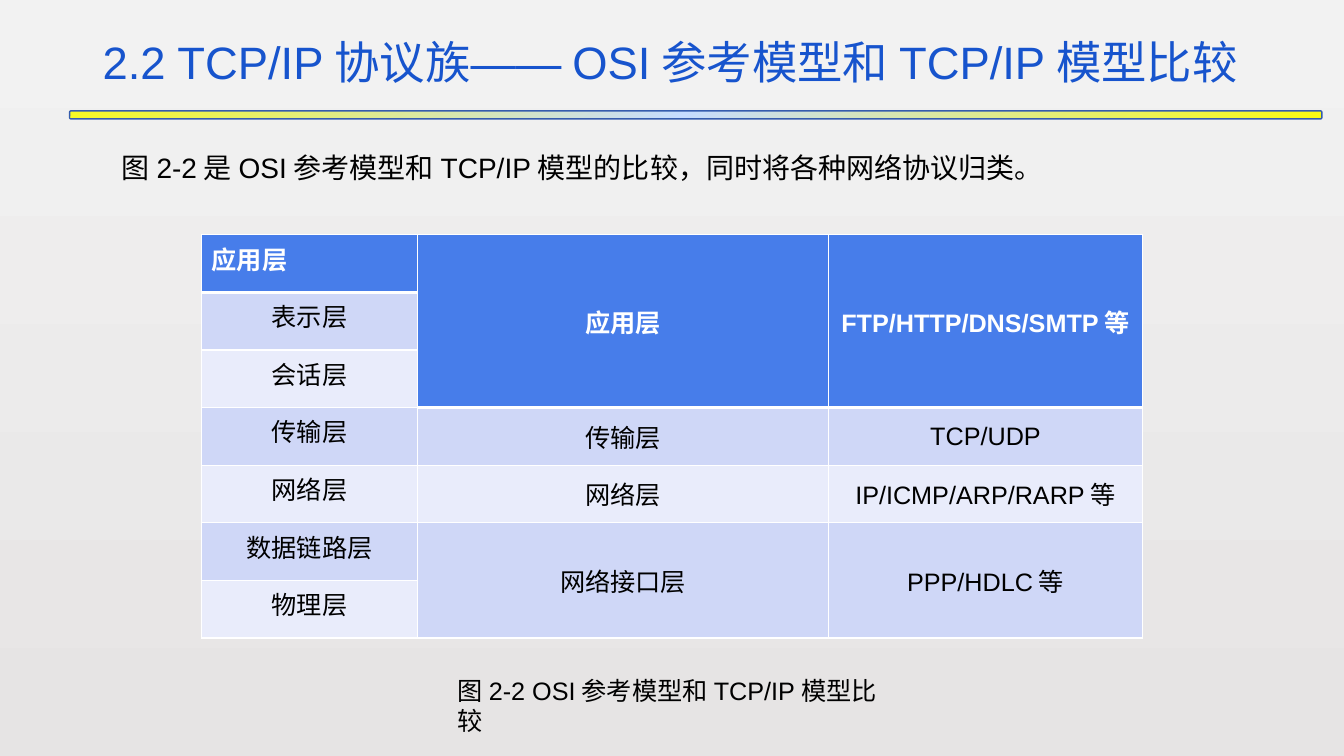
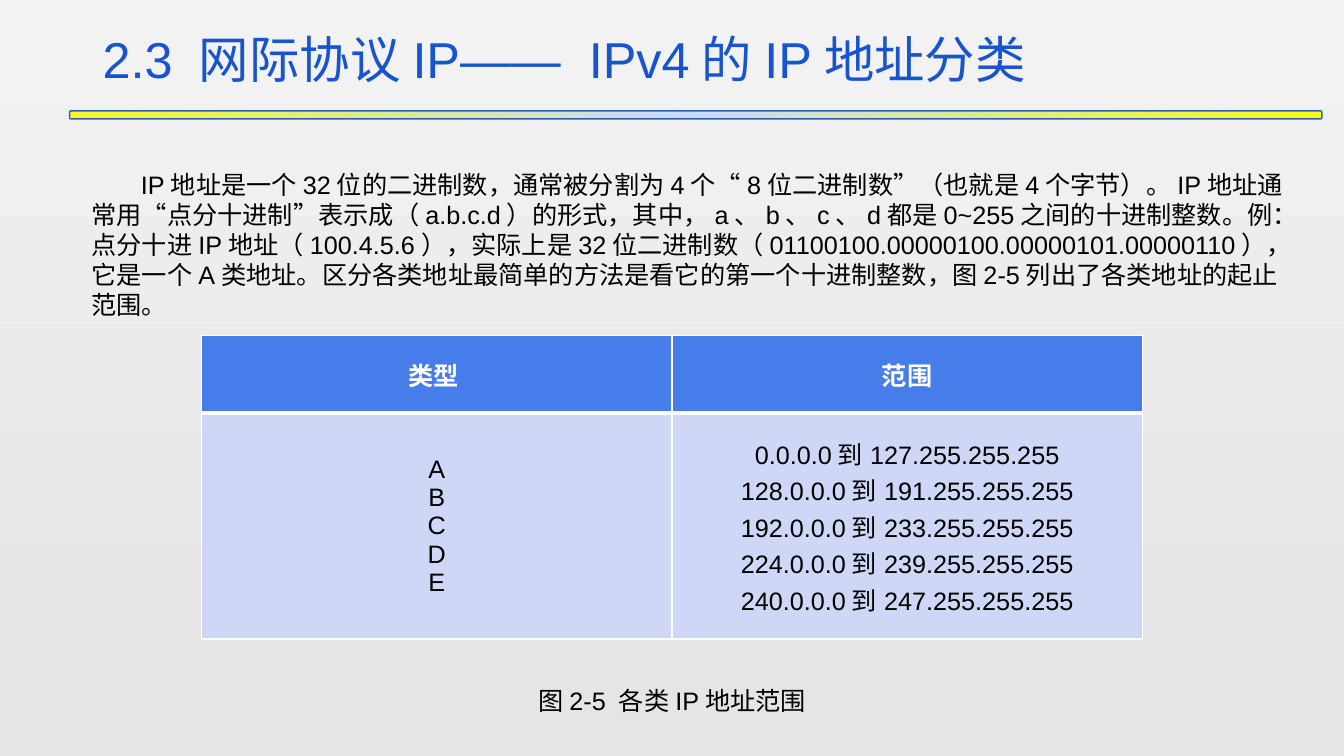
from lxml import etree
from pptx import Presentation
from pptx.dml.color import RGBColor
from pptx.enum import shapes, text
from pptx.oxml import parse_xml
from pptx.oxml.ns import nsdecls, qn
from pptx.util import Inches, Pt

FONT = "Arial"
BLACK = RGBColor(0x00, 0x00, 0x00)
WHITE = RGBColor(0xFF, 0xFF, 0xFF)
TITLE_BLUE = RGBColor(0x17, 0x54, 0xCD)
HEADER_BLUE = RGBColor(0x47, 0x7D, 0xEA)
DARK_BAND = RGBColor(0xCF, 0xD7, 0xF7)
LIGHT_BAND = RGBColor(0xE9, 0xEC, 0xFB)
RULE_LINE = RGBColor(0x35, 0x5C, 0xAD)
RULE_STOPS = [(0, RGBColor(0xFB, 0xFB, 0x11)),
              (51, RGBColor(0xC6, 0xDC, 0xFF)),
              (100, RGBColor(0xF7, 0xF9, 0x23))]
PAGE_TOP = RGBColor(0xF2, 0xF2, 0xF2)
PAGE_BOTTOM = RGBColor(0xE6, 0xE4, 0xE4)

OSI_ROWS = [
    ["应用层", "应用层", "FTP/HTTP/DNS/SMTP等"],
    ["表示层", None, None],
    ["会话层", None, None],
    ["传输层", "传输层", "TCP/UDP"],
    ["网络层", "网络层", "IP/ICMP/ARP/RARP等"],
    ["数据链路层", "网络接口层", "PPP/HDLC等"],
    ["物理层", None, None],
]
RANGES = [
    ("A", "0.0.0.0到127.255.255.255"),
    ("B", "128.0.0.0到191.255.255.255"),
    ("C", "192.0.0.0到233.255.255.255"),
    ("D", "224.0.0.0到239.255.255.255"),
    ("E", "240.0.0.0到247.255.255.255"),
]
ADDRESS_ROWS = [["类型 ", "范围"], ["\n".join(column) for column in zip(*RANGES)]]
ADDRESS_TEXT = (
    "IP地址是一个32位的二进制数，通常被分割为4个“8位二进制数”（也就是4个字节）。"
    "IP地址通常用“点分十进制”表示成（a.b.c.d）的形式，其中，a、b、c、d都是0~255之间的十进制整数。"
    "例：点分十进IP地址（100.4.5.6），实际上是32位二进制数"
    "（01100100.00000100.00000101.00000110），它是一个A类地址。"
    "区分各类地址最简单的方法是看它的第一个十进制整数，图2-5列出了各类地址的起止范围。"
)


def inches(values):
    return [Inches(value) for value in values]


def style_span(span, size, color, bold=False):
    span.font.name = FONT
    span.font.size = Pt(size)
    span.font.bold = bold
    span.font.color.rgb = color


def set_page_background(deck):
    """Give every slide the same vertical grey gradient through the master."""
    fill = deck.slide_master.background.fill
    fill.gradient()
    fill.gradient_angle = 270
    for stop, position, color in zip(fill.gradient_stops, (0, 1), (PAGE_TOP, PAGE_BOTTOM)):
        stop.position = position
        stop.color.rgb = color


def add_text(page, box, content, size, color=BLACK, grow=True, wide_quotes=False):
    """Add a text box; wide_quotes leaves quotation marks to the East Asian font."""
    frame = page.shapes.add_textbox(*inches(box)).text_frame
    frame.word_wrap = True
    if grow:
        frame.auto_size = text.MSO_AUTO_SIZE.SHAPE_TO_FIT_TEXT
    frame.text = content
    span = frame.paragraphs[0].runs[0]
    style_span(span, size, color)
    if not wide_quotes:
        etree.SubElement(span.font._element, qn("a:ea"), typeface=FONT)
    return frame


def add_rule(page, box):
    rule = page.shapes.add_shape(shapes.MSO_SHAPE.ROUNDED_RECTANGLE, *inches(box))
    rule.shadow.inherit = False
    rule.line.color.rgb = RULE_LINE
    rule.line.width = Pt(1)
    rule.fill.background()
    stops = "".join(f'<a:gs pos="{position * 1000}"><a:srgbClr val="{color}"/></a:gs>'
                    for position, color in RULE_STOPS)
    gradient = parse_xml(
        f'<a:gradFill {nsdecls("a")} rotWithShape="1"><a:gsLst>{stops}</a:gsLst>'
        '<a:path path="circle"><a:fillToRect l="100000" t="100000"/></a:path></a:gradFill>')
    properties = rule._element.spPr
    properties.replace(properties.find(qn("a:noFill")), gradient)


def add_page(deck, title, title_size):
    """Add a slide with the shared yellow rule and title."""
    page = deck.slides.add_slide(deck.slide_layouts[6])
    add_rule(page, (0.69, 1.1, 12.42, 0.08))
    frame = add_text(page, (0.92, 0.07, 11.5, 0.87), title, title_size, TITLE_BLUE, grow=False)
    frame.vertical_anchor = text.MSO_ANCHOR.BOTTOM
    frame.paragraphs[0].line_spacing = 0.9
    return page


def set_borders(cell, top, bottom):
    properties = cell._tc.get_or_add_tcPr()
    for side, width in (("L", 1), ("R", 1), ("T", top), ("B", bottom)):
        properties.append(parse_xml(
            f'<a:ln{side} {nsdecls("a")} w="{Pt(width)}"><a:solidFill>'
            f'<a:srgbClr val="{WHITE}"/></a:solidFill></a:ln{side}>'))


def style_cell(cell, row, below_header):
    header = row == 0
    set_borders(cell, 3 if below_header else 1, 3 if header else 1)
    cell.fill.solid()
    cell.fill.fore_color.rgb = HEADER_BLUE if header else (LIGHT_BAND, DARK_BAND)[row % 2]
    cell.vertical_anchor = text.MSO_ANCHOR.MIDDLE
    for para in cell.text_frame.paragraphs:
        para.alignment = text.PP_ALIGN.CENTER
        for span in para.runs:
            style_span(span, 18, WHITE if header else BLACK, header)


def add_grid(page, box, widths, heights, rows):
    """Add a table in which None continues the cell above."""
    grid = page.shapes.add_table(len(rows), len(widths), *inches(box)).table
    for column, width in zip(grid.columns, widths):
        column.width = Inches(width)
    for line, height in zip(grid.rows, heights):
        line.height = Inches(height)
    for c in range(len(widths)):
        starts = [r for r, values in enumerate(rows) if values[c] is not None]
        for order, (r, following) in enumerate(zip(starts, starts[1:] + [len(rows)])):
            cell = grid.cell(r, c)
            if following - r > 1:
                cell.merge(grid.cell(following - 1, c))
            cell.text = rows[r][c]
            style_cell(cell, r, below_header=order == 1)
    return grid


def build_model_comparison(deck):
    page = add_page(deck, "2.2 TCP/IP协议族——OSI参考模型和TCP/IP模型比较", 32.4)
    add_text(page, (1.11, 1.44, 10.63, 0.44),
             "图2-2是OSI参考模型和TCP/IP模型的比较，同时将各种网络协议归类。", 20)
    grid = add_grid(page, (2, 2.33, 9.33, 4), (2.14, 4.08, 3.11),
                    [4 / len(OSI_ROWS)] * len(OSI_ROWS), OSI_ROWS)
    for r in range(len(OSI_ROWS)):
        grid.cell(r, 0).vertical_anchor = text.MSO_ANCHOR.TOP
    grid.cell(0, 0).text_frame.paragraphs[0].alignment = text.PP_ALIGN.LEFT
    add_text(page, (4.44, 6.65, 4.44, 0.4), "图2-2 OSI参考模型和TCP/IP模型比较", 18)


def build_address_classes(deck):
    page = add_page(deck, "2.3 网际协议IP——  IPv4的IP地址分类", 36)
    frame = add_text(page, (0.81, 1.63, 12.14, 1.31), ADDRESS_TEXT, 18, wide_quotes=True)
    para = frame.paragraphs[0]
    para.line_spacing = Pt(21.5)
    para._p.get_or_add_pPr().set("indent", str(Inches(0.49)))
    add_grid(page, (2, 3.33, 9.33, 3.01), [9.33 / 2] * 2, (0.77, 2.24), ADDRESS_ROWS)
    add_text(page, (5.24, 6.75, 2.86, 0.4), "图2-5 各类IP地址范围", 18)


def main():
    deck = Presentation()
    deck.slide_width, deck.slide_height = Inches(13.33), Inches(7.5)
    set_page_background(deck)
    build_model_comparison(deck)
    build_address_classes(deck)
    deck.save("out.pptx")


if __name__ == "__main__":
    main()
